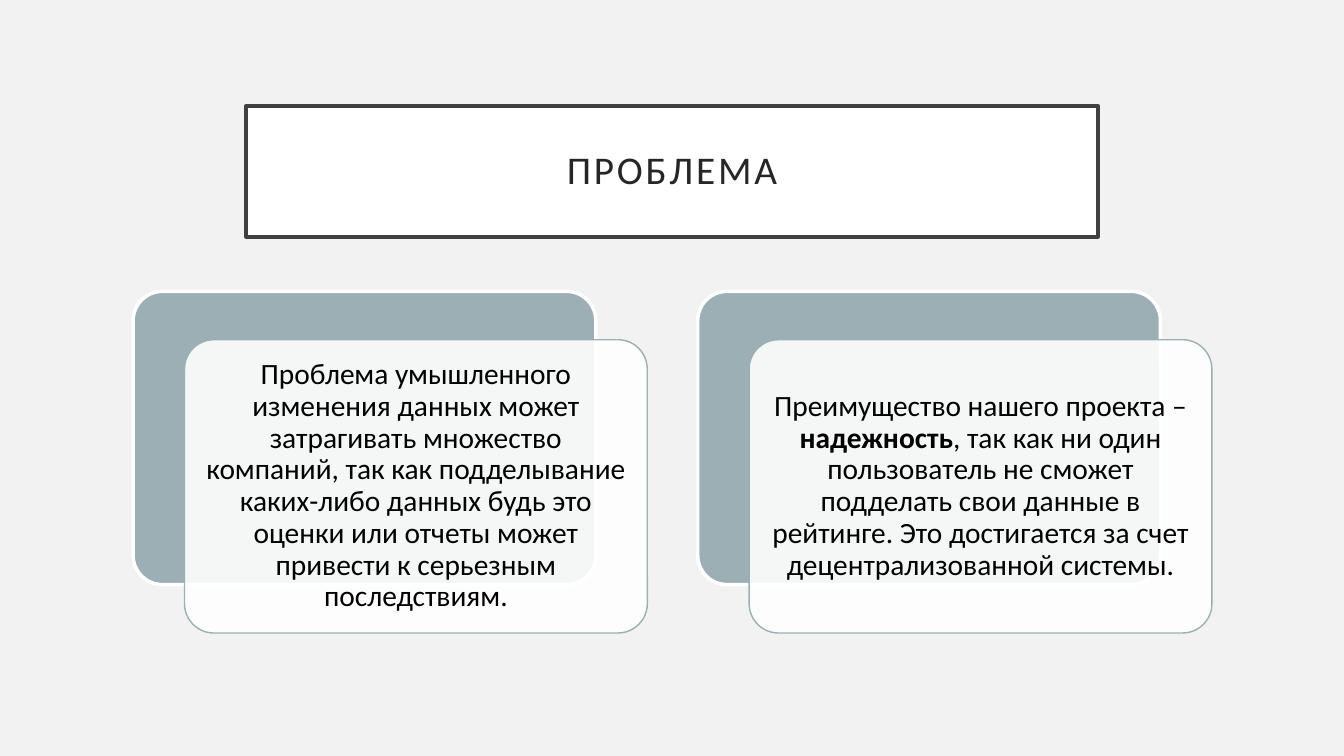
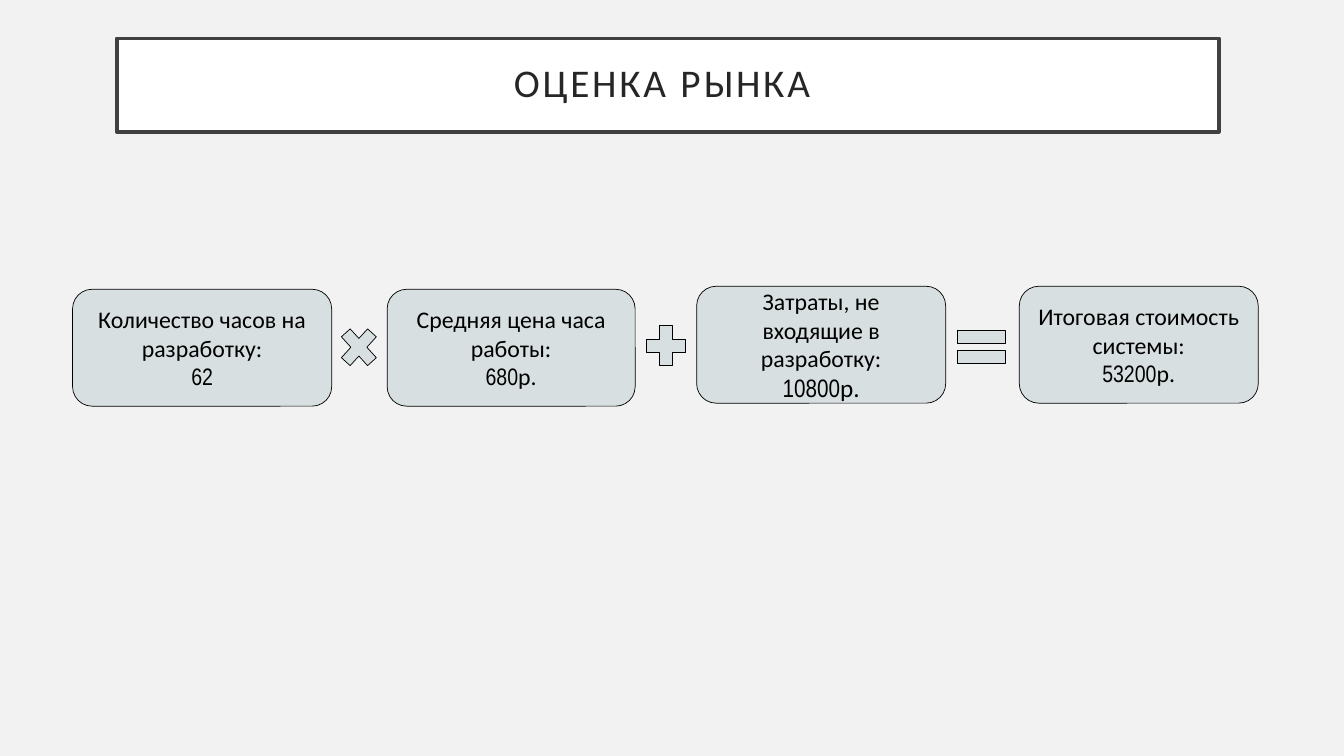
from lxml.etree import SubElement
from pptx import Presentation
from pptx.dml.color import RGBColor
from pptx.enum.shapes import MSO_SHAPE
from pptx.enum.text import MSO_ANCHOR, PP_ALIGN
from pptx.oxml.ns import qn
from pptx.util import Inches, Pt

COLORS = {
    "background": "F2F2F2",
    "white": "FFFFFF",
    "title_border": "404040",
    "title_text": "262626",
    "panel": "9BAFB5",
    "factor": "D7DFE1",
    "black": "000000",
}
FONT = "Calibri"
NUMBER_FONT = "Arial Narrow"

ARGUMENTS = [
    [("Проблема умышленного изменения данных может затрагивать множество "
      "компаний, так как подделывание каких-либо данных будь это оценки или "
      "отчеты может привести к серьезным последствиям.", False)],
    [("Преимущество нашего проекта – ", False),
     ("надежность", True),
     (", так как ни один пользователь не сможет подделать свои данные в "
      "рейтинге. Это достигается за счет децентрализованной системы.", False)],
]

FACTORS = [
    (0.72, 2.87, 2.57, "Количество часов на разработку:", "62", "", 17),
    (3.84, 2.87, 2.46, "Средняя цена часа работы:", "680", "р.", 17),
    (6.91, 2.84, 2.47, "Затраты, не входящие в разработку:", "10800", "р.", 18),
    (10.11, 2.84, 2.37, "Итоговая стоимость системы:", "53200", "р.", 17),
]
FACTOR_HEIGHT = 1.16

OPERATORS = [
    (MSO_SHAPE.MATH_MULTIPLY, 3.31, 3.17, 0.5, 0.55),
    (MSO_SHAPE.MATH_PLUS, 6.34, 3.16, 0.53, 0.54),
    (MSO_SHAPE.MATH_EQUAL, 9.41, 3.16, 0.65, 0.56),
]


def rgb(name):
    return RGBColor.from_string(COLORS[name])


def add_block(slide, kind, box, fill, border, border_width):
    block = slide.shapes.add_shape(kind, *map(Inches, box))
    block.shadow.inherit = False
    block.fill.solid()
    block.fill.fore_color.rgb = rgb(fill)
    block.line.color.rgb = rgb(border)
    block.line.width = Pt(border_width)
    return block


def prepare_text(block, inset_x, inset_y):
    frame = block.text_frame
    frame.word_wrap = True
    frame.vertical_anchor = MSO_ANCHOR.MIDDLE
    frame.margin_left = frame.margin_right = Inches(inset_x)
    frame.margin_top = frame.margin_bottom = Inches(inset_y)
    return frame


def style_paragraph(paragraph, size, color, font=FONT):
    paragraph.alignment = PP_ALIGN.CENTER
    paragraph.font.name = font
    paragraph.font.size = Pt(size)
    paragraph.font.color.rgb = rgb(color)


def set_opacity(block, percent):
    color = block._element.spPr.find(qn("a:solidFill"))[0]
    SubElement(color, qn("a:alpha")).set("val", str(percent * 1000))


def add_slide(deck, title, title_box):
    slide = deck.slides.add_slide(deck.slide_layouts[6])
    slide.background.fill.solid()
    slide.background.fill.fore_color.rgb = rgb("background")
    banner = add_block(slide, MSO_SHAPE.RECTANGLE, title_box,
                       "white", "title_border", 2.5)
    heading = prepare_text(banner, 0.2, 0.2).paragraphs[0]
    style_paragraph(heading, 28, "title_text")
    heading.line_spacing = 0.9
    run = heading.add_run()
    run.text = title
    run.font._element.set("spc", "200")
    return slide


def add_argument(slide, box, parts):
    left, top, width, height = box
    offset_x, offset_y = 0.51, 0.48
    size = width - offset_x, height - offset_y
    backing = add_block(slide, MSO_SHAPE.ROUNDED_RECTANGLE, (left, top, *size),
                        "panel", "white", 2.5)
    card = add_block(slide, MSO_SHAPE.ROUNDED_RECTANGLE,
                     (left + offset_x, top + offset_y, *size),
                     "white", "panel", 1)
    for panel in (backing, card):
        panel.adjustments[0] = 0.1
    set_opacity(card, 90)
    paragraph = prepare_text(card, 0.09, 0.09).paragraphs[0]
    style_paragraph(paragraph, 21, "black")
    paragraph.line_spacing = 0.9
    for text, bold in parts:
        run = paragraph.add_run()
        run.text = text
        run.font.bold = bold


def add_factor(slide, box, label, number, unit, value_size):
    card = add_block(slide, MSO_SHAPE.ROUNDED_RECTANGLE, box,
                     "factor", "black", 0.5)
    frame = prepare_text(card, 0.1, 0.05)
    caption = frame.paragraphs[0]
    caption.text = label
    style_paragraph(caption, 17, "black")
    value = frame.add_paragraph()
    style_paragraph(value, value_size, "black", NUMBER_FONT)
    value.add_run().text = number
    if unit:
        run = value.add_run()
        run.text = unit
        run.font.name = FONT


def build_problem(deck):
    slide = add_slide(deck, "ПРОБЛЕМА", (2.44, 1.05, 8.45, 1.3))
    left, top, width, height, pitch = 1.32, 2.89, 5.1, 3.39, 5.6
    for index, parts in enumerate(ARGUMENTS):
        add_argument(slide, (left + index * pitch, top, width, height), parts)


def build_market(deck):
    slide = add_slide(deck, "ОЦЕНКА РЫНКА ", (1.16, 0.38, 10.93, 0.93))
    for left, top, width, *content in FACTORS:
        add_factor(slide, (left, top, width, FACTOR_HEIGHT), *content)
    for kind, *box in OPERATORS:
        add_block(slide, kind, box, "factor", "black", 0.5)


def main():
    deck = Presentation()
    deck.slide_width, deck.slide_height = Inches(13.33), Inches(7.5)
    build_problem(deck)
    build_market(deck)
    deck.save("out.pptx")


if __name__ == "__main__":
    main()
